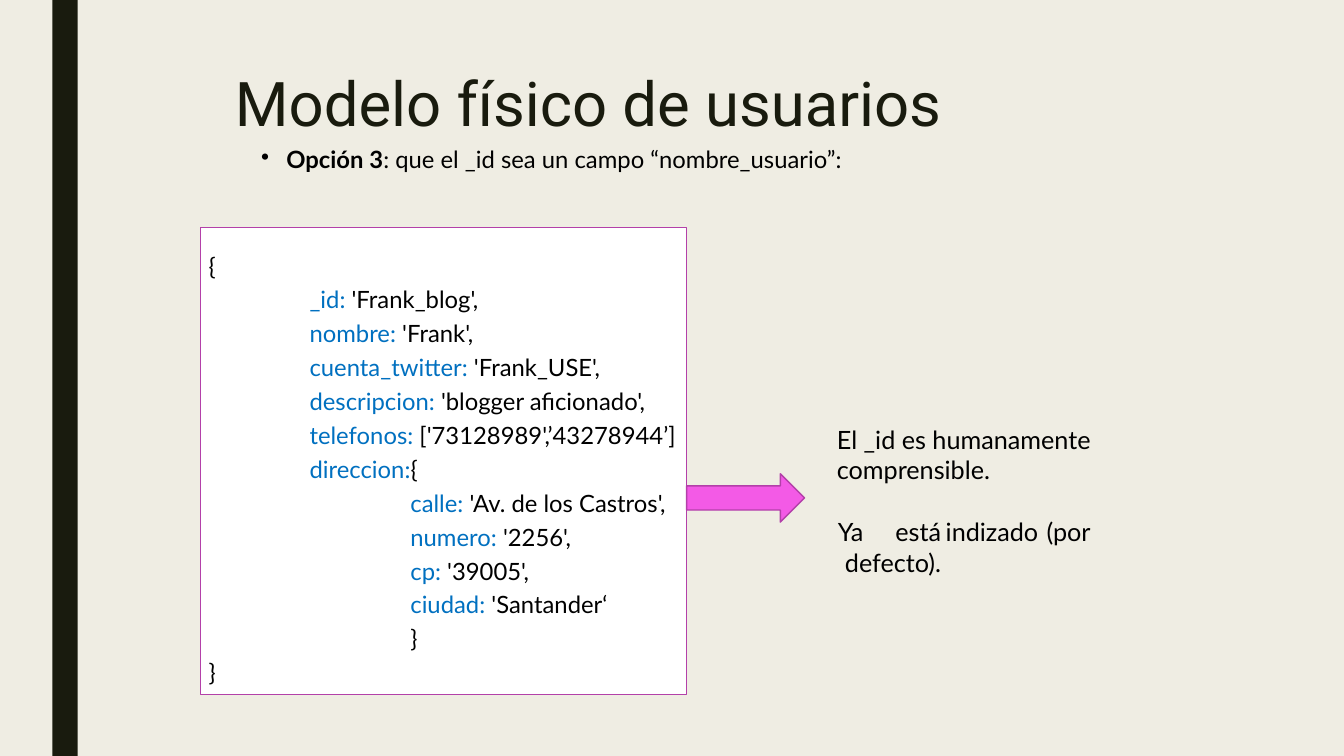
import pptx
import pptx.dml.color
import pptx.enum.shapes
import pptx.enum.text
import pptx.oxml.ns
import pptx.util
from lxml import etree
from pptx.util import Inches, Pt

INK, BLACK, KEY_BLUE = "191B0E", "000000", "0070C0"
PURPLE, PINK = "B340A9", "F35AE6"


def color(value):
    return pptx.dml.color.RGBColor.from_string(value)


def set_layout(para, left, first, bullet=None, tabs=()):
    """Set left margin and first-line indent, then a bullet and tab stops."""
    props = para._p.get_or_add_pPr()
    props.set("marL", str(Inches(left)))
    props.set("indent", str(Inches(first)))
    if bullet:
        etree.SubElement(props, pptx.oxml.ns.qn("a:buChar")).set("char", bullet)
    if tabs:
        stops = etree.SubElement(props, pptx.oxml.ns.qn("a:tabLst"))
        for stop in tabs:
            tab = etree.SubElement(stops, pptx.oxml.ns.qn("a:tab"))
            tab.set("pos", str(Inches(stop)))
            tab.set("algn", "l")


deck = pptx.Presentation()
deck.slide_width, deck.slide_height = Inches(13.33), Inches(7.5)
page = deck.slides.add_slide(deck.slide_layouts[6])
page.background.fill.solid()
page.background.fill.fore_color.rgb = color("EFEDE3")

# Side band, code panel and arrow
shape_type = pptx.enum.shapes.MSO_SHAPE
shapes = []
for kind, left, top, width, height, fill, line in [
    (shape_type.RECTANGLE, 0.52, 0, 0.25, 7.5, INK, None),
    (shape_type.RECTANGLE, 1.99, 2.26, 4.82, 4.63, "FFFFFF", PURPLE),
    (shape_type.RIGHT_ARROW, 6.81, 4.7, 1.17, 0.48, PINK, PURPLE),
]:
    shape = page.shapes.add_shape(
        kind, Inches(left), Inches(top), Inches(width), Inches(height))
    shape.shadow.inherit = False
    shape.fill.solid()
    shape.fill.fore_color.rgb = color(fill)
    if line:
        shape.line.color.rgb = color(line)
        shape.line.width = Pt(1)
    else:
        shape.line.fill.background()
    shapes.append(shape)
band, code_panel, arrow = shapes

# Text boxes: title, option and advantages
frames = []
for left, top, width, height in [
    (2.33, 0.62, 7.58, 0.75),
    (2.58, 1.42, 6.07, 0.31),
    (8.3, 4.19, 2.69, 1.53),
]:
    box = page.shapes.add_textbox(
        Inches(left), Inches(top), Inches(width), Inches(height))
    frame = box.text_frame
    frame.word_wrap = True
    frame.margin_left = frame.margin_right = frame.margin_bottom = 0
    frame.margin_top = Inches(0.02)
    frames.append(frame)
title, option, advantages = frames

title.text = "Modelo físico de usuarios"
title.paragraphs[0].font.name = "Roboto"
title.paragraphs[0].font.size = Pt(44)
title.paragraphs[0].font.color.rgb = color(INK)

para = option.paragraphs[0]
set_layout(para, 0.26, -0.25, bullet="•")
for text, bold in [("Opción 3", True),
                   (": que el _id sea un campo “nombre_usuario”:", False)]:
    span = para.add_run()
    span.text = text
    span.font.bold = bold
    span.font.name = "Lato"
    span.font.size = Pt(17)
    span.font.color.rgb = color(BLACK)

advantages.text = ("El _id es humanamente comprensible.\n"
                   "Ya\testá\tindizado\t(por defecto).")
readable, indexed = advantages.paragraphs
set_layout(indexed, 0.08, -0.07, tabs=(0.37, 1.02, 2.14))
indexed.space_before = Pt(22.7)
for para in (readable, indexed):
    para.font.name = "Lato"
    para.font.size = Pt(18)
    para.font.color.rgb = color(BLACK)

# Document code: indent level, key, value
code_lines = [
    (0, "", "{"),
    (1, "_id: ", "'Frank_blog',"),
    (1, "nombre: ", "'Frank',"),
    (1, "cuenta_twitter: ", "'Frank_USE',"),
    (1, "descripcion: ", "'blogger aficionado',"),
    (1, "telefonos: ", "['73128989',’43278944’]"),
    (1, "direccion:", "{"),
    (2, "calle: ", "'Av. de los Castros',"),
    (2, "numero: ", "'2256',"),
    (2, "cp: ", "'39005',"),
    (2, "ciudad: ", "'Santander‘"),
    (2, "", "}"),
    (0, "", "}"),
]
code = code_panel.text_frame
code.word_wrap = True
code.vertical_anchor = pptx.enum.text.MSO_ANCHOR.TOP
code.margin_left = code.margin_right = code.margin_bottom = 0
code.margin_top = Inches(0.18)
for number, (level, key, value) in enumerate(code_lines):
    para = code.add_paragraph() if number else code.paragraphs[0]
    para.alignment = pptx.enum.text.PP_ALIGN.LEFT
    para.line_spacing = Pt(24.2)
    set_layout(para, 0.08 + level, 0)
    for text, ink in [(key, KEY_BLUE), (value, BLACK)]:
        if text:
            span = para.add_run()
            span.text = text
            span.font.name = "Lato"
            span.font.size = Pt(17)
            span.font.color.rgb = color(ink)

deck.save("out.pptx")
